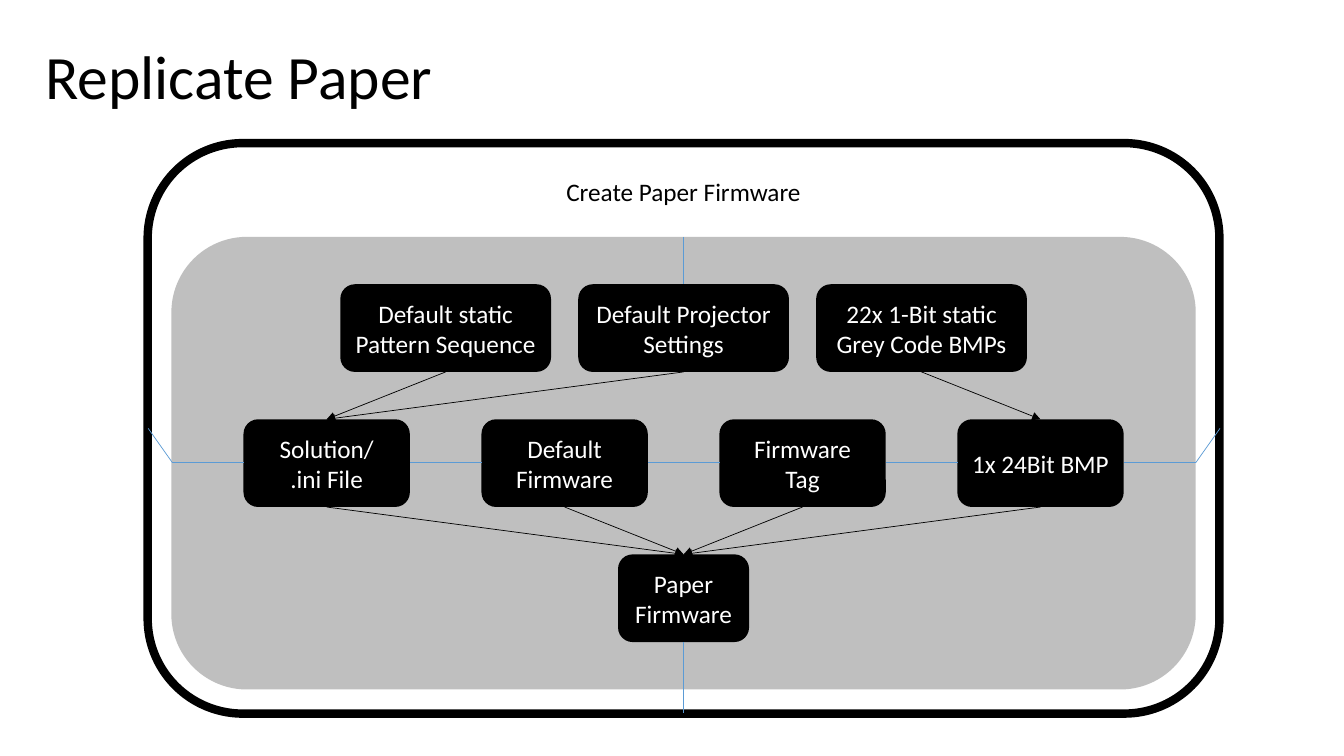
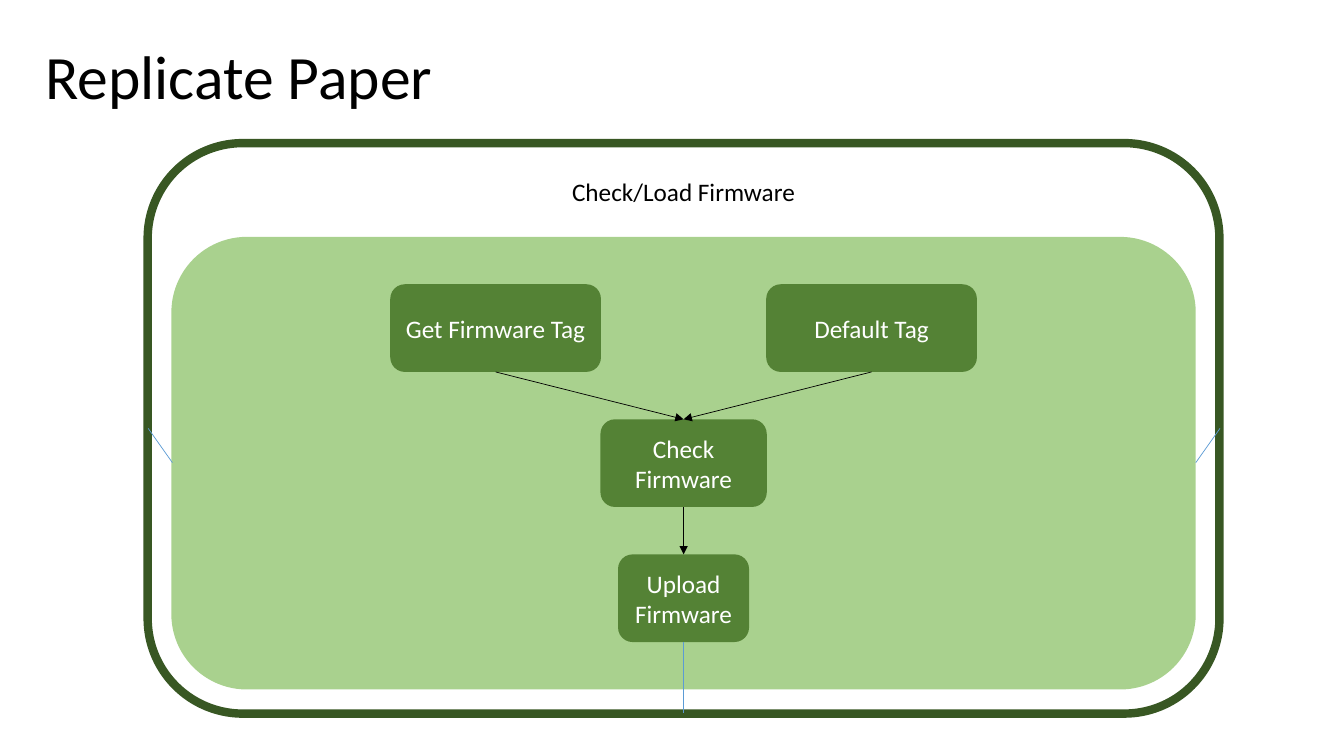
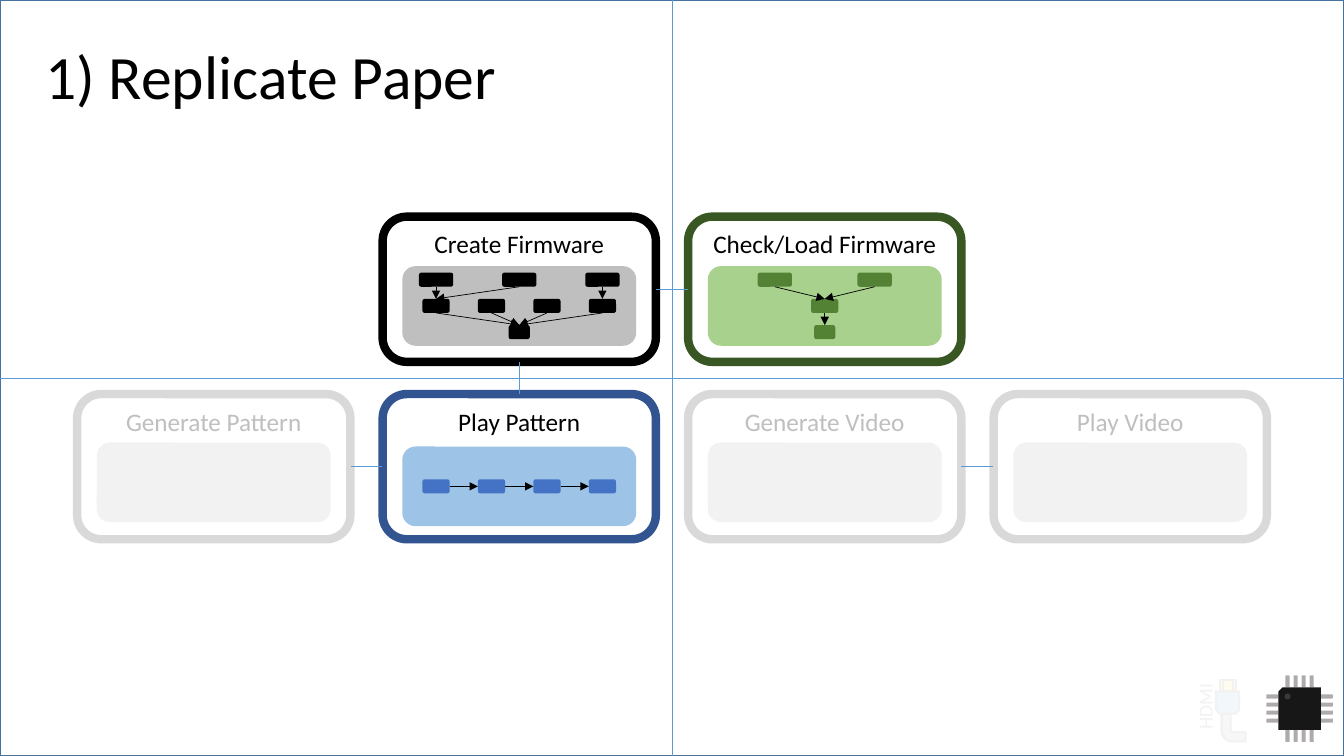
"""Build three slides that explain the firmware workflow of the paper."""
from collections import namedtuple

from lxml.etree import SubElement
from pptx import Presentation
from pptx.dml.color import RGBColor
from pptx.enum.shapes import MSO_CONNECTOR, MSO_SHAPE
from pptx.enum.text import MSO_ANCHOR, PP_ALIGN
from pptx.oxml.ns import qn
from pptx.util import Inches, Pt

WIDTH, HEIGHT = 13.33, 7.5
FONT = "Calibri"
BLACK, WHITE, BLUE, FADED = "000000", "FFFFFF", "5B9BD5", "F2F2F2"
ROUNDED = MSO_SHAPE.ROUNDED_RECTANGLE

View = namedtuple("View", "width height inner_width inner_height column row box_widths box_height")
LARGE = View(10.63, 5.66, 10.16, 4.49, 2.36, 1.34, (2.09, 1.65, 1.3), 0.87)
SMALL = View(2.71, 1.44, 2.32, 0.79, 0.55, 0.26, (0.34, 0.27, 0.21), 0.14)

Flow = namedtuple("Flow", "border heading inner box boxes arrows")
Box = namedtuple("Box", "text row large_column small_column")

CREATE = Flow(BLACK, BLACK, "BFBFBF", BLACK, [
    Box("Default static\nPattern Sequence", 0, -1, -1.5),
    Box("Default Projector Settings", 0, 0, 0),
    Box("22x 1-Bit static Grey Code BMPs", 0, 1, 1.5),
    Box("Solution/\n.ini File", 1, -1.5, -1.5),
    Box("Default\nFirmware", 1, -0.5, -0.5),
    Box("Firmware\nTag", 1, 0.5, 0.5),
    Box("1x 24Bit BMP", 1, 1.5, 1.5),
    Box("Paper\nFirmware", 2, 0, 0),
], [(0, 3), (1, 3), (2, 6), (3, 7), (4, 7), (5, 7), (6, 7)])
CHECK = Flow("385723", BLACK, "A9D18E", "548235", [
    Box("Get Firmware Tag", 0, -0.79, -0.9),
    Box("Default Tag", 0, 0.79, 0.9),
    Box("Check Firmware", 1, 0, 0),
    Box("Upload\nFirmware", 2, 0, 0),
], [(0, 2), (1, 2), (2, 3)])
PLAY = Flow("325491", BLACK, "9DC3E6", "4472C4",
            [Box("", 1, column, column) for column in (-1.5, -0.5, 0.5, 1.5)],
            [(0, 1), (1, 2), (2, 3)])
INACTIVE = Flow("D9D9D9", "BFBFBF", FADED, None, [], [])


def add_shape(slide, kind, left, top, width, height, fill=None, line=None, weight=1):
    """Add a preset shape with plain fill and outline."""
    shape = slide.shapes.add_shape(kind, Inches(left), Inches(top), Inches(width), Inches(height))
    shape.shadow.inherit = False
    if fill:
        shape.fill.solid()
        shape.fill.fore_color.rgb = RGBColor.from_string(fill)
    else:
        shape.fill.background()
    if line:
        shape.line.color.rgb = RGBColor.from_string(line)
        shape.line.width = Pt(weight)
    else:
        shape.line.fill.background()
    return shape


def write(shape, text, size, color, alignment=PP_ALIGN.CENTER, anchor=MSO_ANCHOR.MIDDLE):
    """Fill a shape with formatted text."""
    frame = shape.text_frame
    frame.text = text
    frame.word_wrap = True
    frame.vertical_anchor = anchor
    for paragraph in frame.paragraphs:
        paragraph.alignment = alignment
        for run in paragraph.runs:
            run.font.name = FONT
            run.font.size = Pt(size)
            run.font.color.rgb = RGBColor.from_string(color)


presentation = Presentation()
presentation.slide_width, presentation.slide_height = Inches(WIDTH), Inches(HEIGHT)
slides = []
for title in ("Replicate Paper", "Replicate Paper", "1) Replicate Paper"):
    slide = presentation.slides.add_slide(presentation.slide_layouts[6])
    title_box = slide.shapes.add_textbox(Inches(0.35), Inches(0.06), Inches(11.5), Inches(1.45))
    write(title_box, title, 44, BLACK, PP_ALIGN.LEFT)
    title_box.text_frame.paragraphs[0].line_spacing = 0.9
    slides.append(slide)
create_slide, check_slide, overview = slides
add_shape(overview, MSO_SHAPE.RECTANGLE, 0, 0, WIDTH, HEIGHT, line="43739E")

middle = 6.78
panel_centres = [WIDTH / 2 + (column - 1.5) * 3.03 for column in range(4)]
upper, lower = 2.15, 3.91
panels = [
    (create_slide, LARGE, CREATE, "Create Paper Firmware", middle, 1.42, 0.93),
    (check_slide, LARGE, CHECK, "Check/Load Firmware", middle, 1.42, 0.93),
    (overview, SMALL, CREATE, "Create Firmware", panel_centres[1], upper, 0.49),
    (overview, SMALL, CHECK, "Check/Load Firmware", panel_centres[2], upper, 0.49),
    (overview, SMALL, INACTIVE, "Generate Pattern", panel_centres[0], lower, 0.48),
    (overview, SMALL, PLAY, "Play Pattern", panel_centres[1], lower, 0.52),
    (overview, SMALL, INACTIVE, "Generate Video", panel_centres[2], lower, 0.48),
    (overview, SMALL, INACTIVE, "Play Video", panel_centres[3], lower, 0.48),
]

links, arrows = [], []
for slide, view, flow, heading, centre, top, inner_offset in panels:
    panel = add_shape(slide, ROUNDED, centre - view.width / 2, top, view.width, view.height,
                      WHITE, flow.border, 6)
    write(panel, heading, 18, flow.heading, anchor=MSO_ANCHOR.TOP)
    inner_top = top + inner_offset
    add_shape(slide, ROUNDED, centre - view.inner_width / 2, inner_top,
              view.inner_width, view.inner_height, flow.inner)
    places = []
    for box in flow.boxes:
        column = box.large_column if view is LARGE else box.small_column
        x = centre + column * view.column
        y = inner_top + view.inner_height / 2 + (box.row - 1) * view.row
        width = view.box_widths[box.row]
        shape = add_shape(slide, ROUNDED, x - width / 2, y - view.box_height / 2,
                          width, view.box_height, flow.box)
        if view is LARGE:
            write(shape, box.text, 18, WHITE)
        places.append((x, y, width / 2))
    for source, target in flow.arrows:
        x1, y1, half1 = places[source]
        x2, y2, half2 = places[target]
        if y1 == y2:
            arrows.append((slide, x1 + half1, y1, x2 - half2, y2))
        else:
            arrows.append((slide, x1, y1 + view.box_height / 2, x2, y2 - view.box_height / 2))

for slide in (create_slide, check_slide):
    links += [
        (slide, 12.1, 4.25, 11.86, 4.59),
        (slide, 1.47, 4.25, 1.71, 4.59),
        (slide, middle, 7.07, middle, 6.84),
        (slide, middle, 6.37, middle, 6.84),
    ]
links.append((create_slide, middle, 2.35, middle, 2.82))
for gap in range(5):
    start = 1.71 + gap * LARGE.column
    links.append((create_slide, start, 4.59, start + 0.71, 4.59))
links += [
    (overview, panel_centres[1], lower, panel_centres[1], upper + SMALL.height),
    (overview, 6.82, 2.87, 6.51, 2.87),
    (overview, 3.79, 4.63, 3.48, 4.63),
    (overview, 9.85, 4.63, 9.53, 4.63),
    (overview, WIDTH / 2, HEIGHT, WIDTH / 2, 0),
    (overview, WIDTH, HEIGHT / 2, 0, HEIGHT / 2),
]

for lines, color, pointed in ((links, BLUE, False), (arrows, BLACK, True)):
    for slide, *ends in lines:
        connector = slide.shapes.add_connector(MSO_CONNECTOR.STRAIGHT, *map(Inches, ends))
        connector.line.color.rgb = RGBColor.from_string(color)
        connector.line.width = Pt(0.5)
        properties = connector._element.spPr
        if pointed:
            SubElement(properties.find(qn("a:ln")), qn("a:tailEnd"), type="triangle")
        SubElement(properties, qn("a:effectLst"))

chip_x, chip_y = 12.89, 7.03
pin_length, pin_width = 0.12, 0.04
for side in (-0.27, 0.27):
    for position in range(4):
        along = (position - 1.5) * 0.08
        for x, y, width, height in (
            (chip_x + side, chip_y + along, pin_length, pin_width),
            (chip_x + along, chip_y + side, pin_width, pin_length),
        ):
            add_shape(overview, ROUNDED, x - width / 2, y - height / 2, width, height, "AFABAB")
builder = overview.shapes.build_freeform(Inches(13.1), Inches(6.82), scale=1.0)
corners = [(13.1, 7.24), (12.68, 7.24), (12.68, 6.86), (12.72, 6.82)]
builder.add_line_segments([(Inches(x), Inches(y)) for x, y in corners])
chip = builder.convert_to_shape()
chip.shadow.inherit = False
chip.fill.solid()
chip.fill.fore_color.rgb = RGBColor.from_string("181717")
chip.line.fill.background()
add_shape(overview, MSO_SHAPE.OVAL, 12.74, 6.88, 0.06, 0.06, "3B3838")

cable = add_shape(overview, MSO_SHAPE.BENT_ARROW, 12.02, 7.02, 0.43, 0.24, "F7F7F7", FADED, 1.5)
cable.rotation = 270
for index, share in enumerate((0.38, 0.19, 0, 0.44)):
    cable.adjustments[index] = share
plug = add_shape(overview, MSO_SHAPE.SNIP_2_SAME_RECTANGLE, 12.06, 6.86, 0.23, 0.22,
                 "F2F7FC", FADED, 1.5)
plug.rotation = 180
for left, width in ((12.1, 0.16), (12.13, 0.1)):
    add_shape(overview, MSO_SHAPE.RECTANGLE, left, 6.75, width, 0.11, "FFFBEF", FADED, 1.5)
label = overview.shapes.add_textbox(Inches(11.55), Inches(6.86), Inches(0.8), Inches(0.3))
label.rotation = 270
write(label, "HDMI", 14, FADED)

presentation.save("out.pptx")
